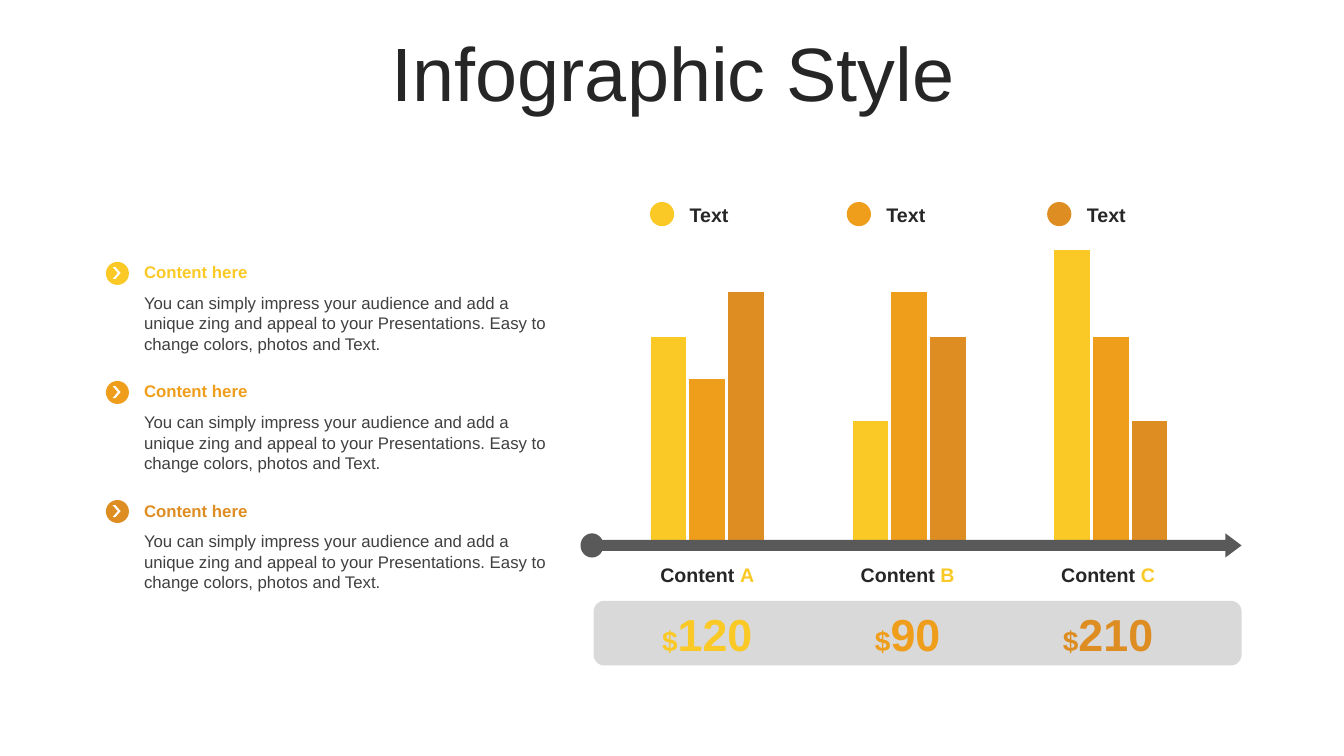
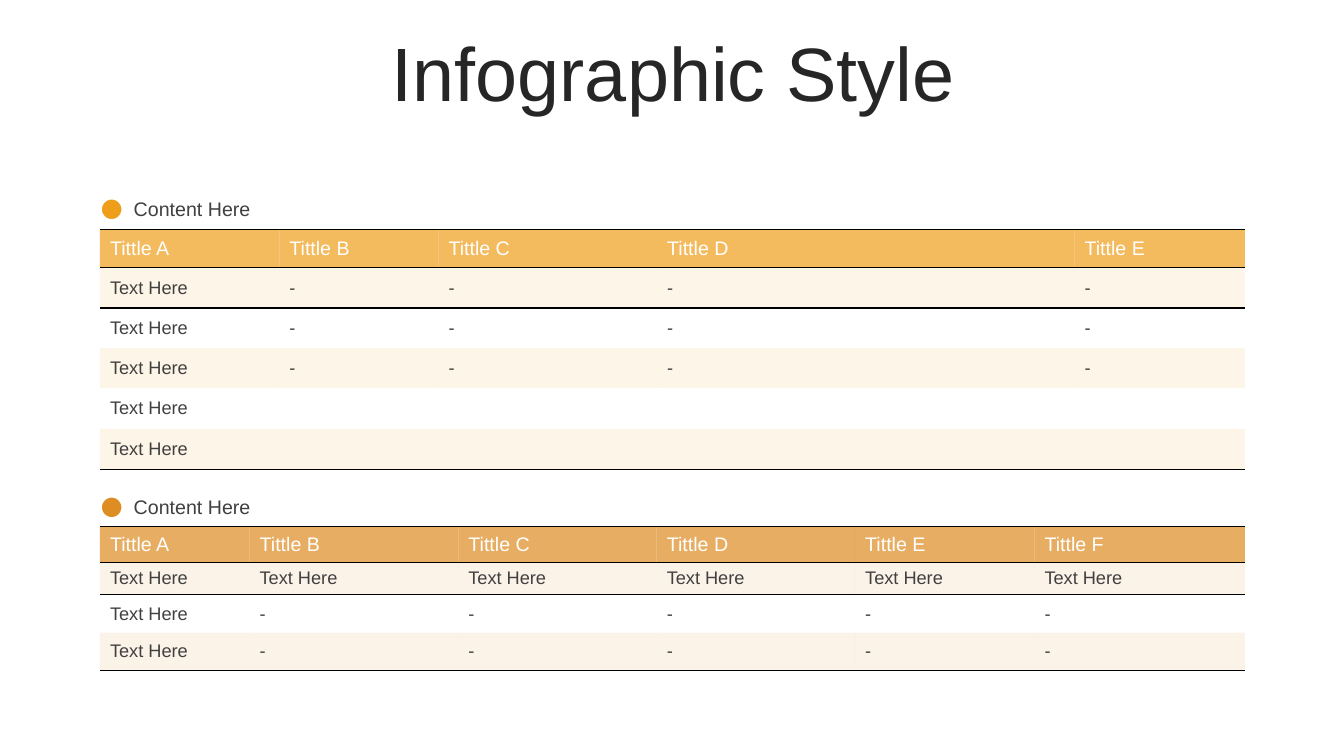
from lxml.etree import SubElement
from pptx import Presentation
from pptx.chart.data import CategoryChartData
from pptx.dml.color import RGBColor
from pptx.enum.chart import XL_CHART_TYPE as ChartType
from pptx.enum.shapes import MSO_SHAPE as Shape
from pptx.enum.text import MSO_ANCHOR as Anchor, MSO_AUTO_SIZE as AutoSize, PP_ALIGN as Align
from pptx.oxml import parse_xml
from pptx.oxml.ns import nsdecls, qn
from pptx.util import Cm, Pt

FONT = "Arial"
YELLOW = RGBColor(0xFA, 0xC9, 0x26)
ORANGE = RGBColor(0xEF, 0x9E, 0x1B)
AMBER = RGBColor(0xDE, 0x8D, 0x22)
INK = RGBColor(0x26, 0x26, 0x26)
TEXT_GREY = RGBColor(0x40, 0x40, 0x40)
AXIS_GREY = RGBColor(0x59, 0x59, 0x59)
BAND_GREY = RGBColor(0xD9, 0xD9, 0xD9)
WHITE = RGBColor(0xFF, 0xFF, 0xFF)
ACCENTS = (YELLOW, ORANGE, AMBER)
NO_GRID_STYLE = "{2D5ABB26-0587-4C30-8999-92F81FD0307C}"

TITLE = "Infographic Style"
ADVICE = ("You can simply impress your audience and add a unique zing and appeal "
          "to your Presentations. Easy to change colors, photos and Text.")
ADVICE_HEADINGS = ["Content here"] * 3
LEGEND = [("Text", 16.38), ("Text", 21.34), ("Text", 26.39)]  # label, left in cm
PRICES = [("A", "120"), ("B", "90"), ("C", "210")]
SERIES = [
    ("Series 1", (71, 43, 100)),
    ("Series 2", (57, 86, 71)),
    ("Series 3", (86, 71, 43)),
]
TABLES = [
    {
        "label": "Content Here", "color": ORANGE, "label_top": 4.83, "top": 5.79,
        "widths": [4.52, 4.01, 5.51, 10.52, 4.29],
        "heights": [0.96] + [1.01] * 5,
        "rows": [["Tittle " + letter for letter in "ABCDE"]]
        + [["Text Here"] + ["-"] * 4] * 3
        + [["Text Here"] + [""] * 4] * 2,
    },
    {
        "label": "Content Here", "color": AMBER, "label_top": 12.34, "top": 13.26,
        "widths": [3.77, 5.26, 5.0, 5.0, 4.52, 5.3],
        "heights": [0.91, 0.82, 0.95, 0.95],
        "rows": [["Tittle " + letter for letter in "ABCDEF"], ["Text Here"] * 6]
        + [["Text Here"] + ["-"] * 5] * 2,
    },
]


def cm_box(*lengths):
    return [Cm(length) for length in lengths]


def set_font(font, size, color, bold=False):
    for key, value in {"name": FONT, "size": Pt(size), "bold": bold}.items():
        setattr(font, key, value)
    font.color.rgb = color


def add_runs(paragraph, runs):
    """Each run is (text, size, color) with an optional bold flag."""
    for text, *style in runs:
        run = paragraph.add_run()
        run.text = text
        set_font(run.font, *style)


def add_text(slide, box, runs, align=Align.LEFT, anchor=Anchor.MIDDLE):
    frame = slide.shapes.add_textbox(*cm_box(*box)).text_frame
    frame.word_wrap = True
    frame.vertical_anchor = anchor
    frame.paragraphs[0].alignment = align
    add_runs(frame.paragraphs[0], runs)


def add_mark(slide, kind, box, color, adjustments=(), outline=None):
    mark = slide.shapes.add_shape(kind, *cm_box(*box))
    mark.shadow.inherit = False
    mark.fill.solid()
    mark.fill.fore_color.rgb = color
    for index, value in enumerate(adjustments):
        mark.adjustments[index] = value
    if outline is None:
        mark.line.fill.background()
    else:
        mark.line.color.rgb = outline
        mark.line.width = Pt(1)


def add_titled_slide(deck):
    slide = deck.slides.add_slide(deck.slide_layouts[5])
    title = slide.shapes.title
    title.left, title.top, title.width, title.height = cm_box(0.89, 0.94, 32.16, 2.01)
    frame = title.text_frame
    frame.auto_size = AutoSize.NONE
    frame.vertical_anchor = Anchor.MIDDLE
    paragraph = frame.paragraphs[0]
    paragraph.alignment = Align.CENTER
    paragraph.line_spacing = 0.9
    add_runs(paragraph, [(TITLE, 54, INK)])
    return slide


def add_column_chart(slide):
    data = CategoryChartData()
    data.categories = ["1", "2", "3"]
    for name, values in SERIES:
        data.add_series(name, values)
    chart = slide.shapes.add_chart(
        ChartType.COLUMN_CLUSTERED, *cm_box(14.96, 5.11, 15.9, 8.84), data).chart
    chart.has_legend = chart.has_title = False
    set_font(chart.font, 10, INK)
    chart.category_axis.visible = False
    value_axis = chart.value_axis
    value_format = {"minimum_scale": 0, "maximum_scale": 110,
                    "has_major_gridlines": False, "visible": False}
    for key, value in value_format.items():
        setattr(value_axis, key, value)
    plot = chart.plots[0]
    for key, value in {"gap_width": 250, "overlap": -9, "vary_by_categories": False}.items():
        setattr(plot, key, value)
    for series, color in zip(plot.series, ACCENTS):
        series.format.fill.solid()
        series.format.fill.fore_color.rgb = color
    place_plot_area(chart, {"x": 0.02, "y": 0.05, "w": 0.96, "h": 0.94})


def place_plot_area(chart, fractions):
    area = next(chart.element.iter(qn("c:plotArea")))
    for old_layout in area.findall(qn("c:layout")):
        area.remove(old_layout)
    layout = parse_xml(f"<c:layout {nsdecls('c')}><c:manualLayout/></c:layout>")
    settings = {"layoutTarget": "inner", "xMode": "edge", "yMode": "edge", **fractions}
    for tag, value in settings.items():
        SubElement(layout[0], qn("c:" + tag)).set("val", str(value))
    area.insert(0, layout)


def add_advice(slide):
    for index, (heading, color) in enumerate(zip(ADVICE_HEADINGS, ACCENTS)):
        top = 6.48 + 3 * index
        add_mark(slide, Shape.OVAL, (2.67, top + 0.12, 0.58, 0.58), color)
        add_mark(slide, Shape.CHEVRON, (2.84, top + 0.25, 0.2, 0.3), WHITE, [0.65])
        add_text(slide, (3.38, top, 10.8, 0.76), [(heading, 12, color, True)])
        add_text(slide, (3.38, top + 0.78, 10.8, 1.8), [(ADVICE, 12, TEXT_GREY)],
                 anchor=Anchor.TOP)


def add_price_axis(slide):
    add_mark(slide, Shape.RIGHT_ARROW, (15.01, 13.44, 16.28, 0.61), AXIS_GREY, [0.45, 0.67])
    add_mark(slide, Shape.OVAL, (14.63, 13.44, 0.58, 0.61), AXIS_GREY)
    add_mark(slide, Shape.ROUNDED_RECTANGLE, (14.96, 15.14, 16.33, 1.63), BAND_GREY)
    for index, ((letter, price), color) in enumerate(zip(PRICES, ACCENTS)):
        left = 15.77 + 5.05 * index
        add_text(slide, (left, 14.05, 4.11, 0.86),
                 [("Content ", 14, INK, True), (letter, 14, YELLOW, True)], Align.CENTER)
        add_text(slide, (left, 15.14, 4.11, 1.63),
                 [("$", 20, color, True), (price, 32, color, True)], Align.CENTER)


def add_legend(slide):
    for (label, left), color in zip(LEGEND, ACCENTS):
        add_mark(slide, Shape.OVAL, (left, 5.09, 0.61, 0.61), color)
        add_text(slide, (left + 0.75, 4.98, 2.39, 0.86), [(label, 14, INK, True)])


def tint_cell(cell, color, percent):
    cell.fill.solid()
    cell.fill.fore_color.rgb = color
    rgb = next(cell.fill.fore_color._xFill.iter(qn("a:srgbClr")))
    SubElement(rgb, qn("a:alpha")).set("val", str(percent * 1000))


def rule_cell(cell, sides):
    """Draw black lines on the sides, given in schema order (T before B)."""
    properties = cell._tc.get_or_add_tcPr()
    for index, side in enumerate(sides):
        properties.insert(index, parse_xml(
            f'<a:ln{side} {nsdecls("a")} w="12700"><a:solidFill>'
            f'<a:srgbClr val="000000"/></a:solidFill></a:ln{side}>'))


def add_labelled_table(slide, content):
    color, rows, label_top = content["color"], content["rows"], content["label_top"]
    widths, heights = content["widths"], content["heights"]
    frame = slide.shapes.add_table(
        len(rows), len(widths),
        *cm_box(2.52, content["top"], sum(widths), sum(heights)))
    next(frame._element.iter(qn("a:tableStyleId"))).text = NO_GRID_STYLE
    table = frame.table
    table.horz_banding = False
    for column, width in zip(table.columns, widths):
        column.width = Cm(width)
    for row, height in zip(table.rows, heights):
        row.height = Cm(height)
    last = len(rows) - 1
    sides = {0: "TB", 1: "T", last: "B"}
    for row_index, texts in enumerate(rows):
        header = row_index == 0
        for column_index, text in enumerate(texts):
            cell = table.cell(row_index, column_index)
            cell.vertical_anchor = Anchor.MIDDLE
            if text:
                style = (14, WHITE) if header else (13, TEXT_GREY)
                add_runs(cell.text_frame.paragraphs[0], [(text, *style)])
            if header or row_index % 2:
                tint_cell(cell, color, 70 if header else 10)
            else:
                cell.fill.background()
            rule_cell(cell, sides.get(row_index, ""))
    add_text(slide, (3.12, label_top, 8, 0.86), [(content["label"], 14, TEXT_GREY)],
             anchor=Anchor.TOP)
    add_mark(slide, Shape.OVAL, (2.55, label_top + 0.18, 0.53, 0.53), color, outline=WHITE)


def main():
    deck = Presentation()
    deck.slide_width, deck.slide_height = cm_box(33.87, 19.05)
    chart_slide = add_titled_slide(deck)
    for add_part in (add_column_chart, add_price_axis, add_legend, add_advice):
        add_part(chart_slide)
    table_slide = add_titled_slide(deck)
    for content in TABLES:
        add_labelled_table(table_slide, content)
    deck.save("out.pptx")


if __name__ == "__main__":
    main()
